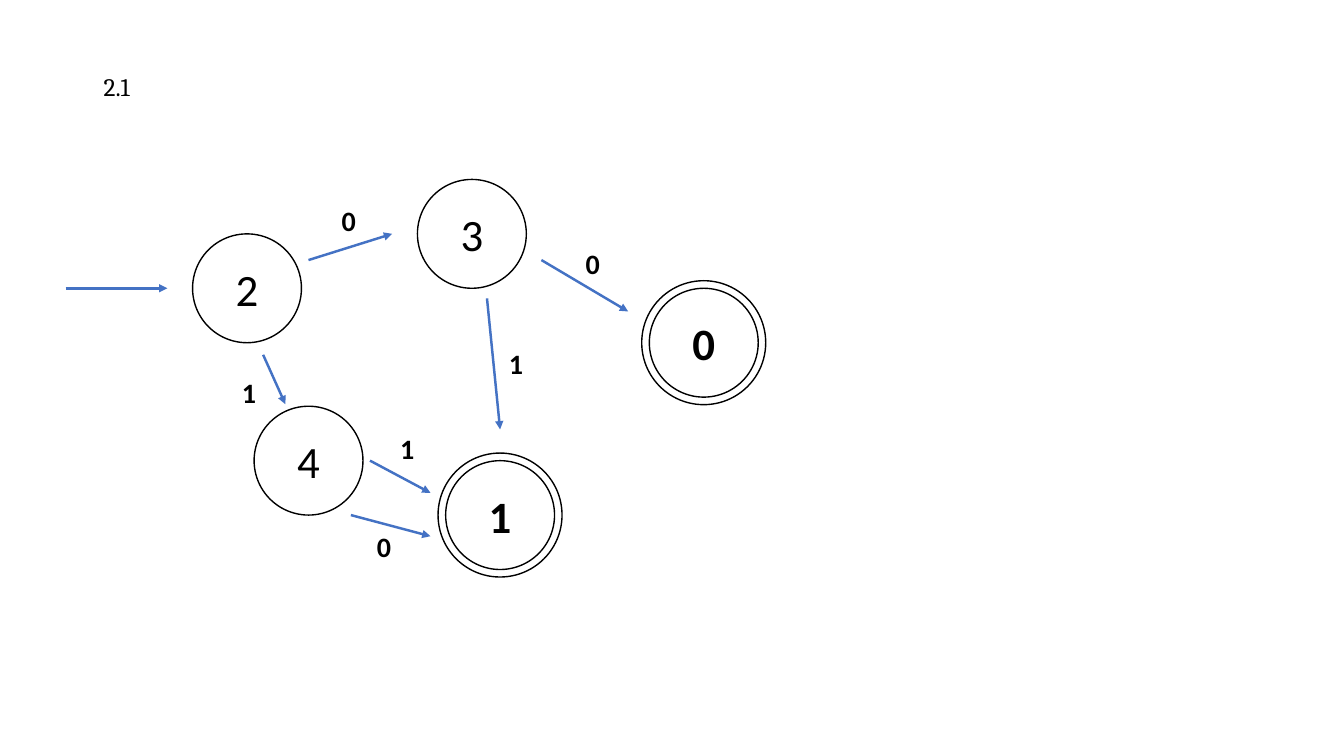
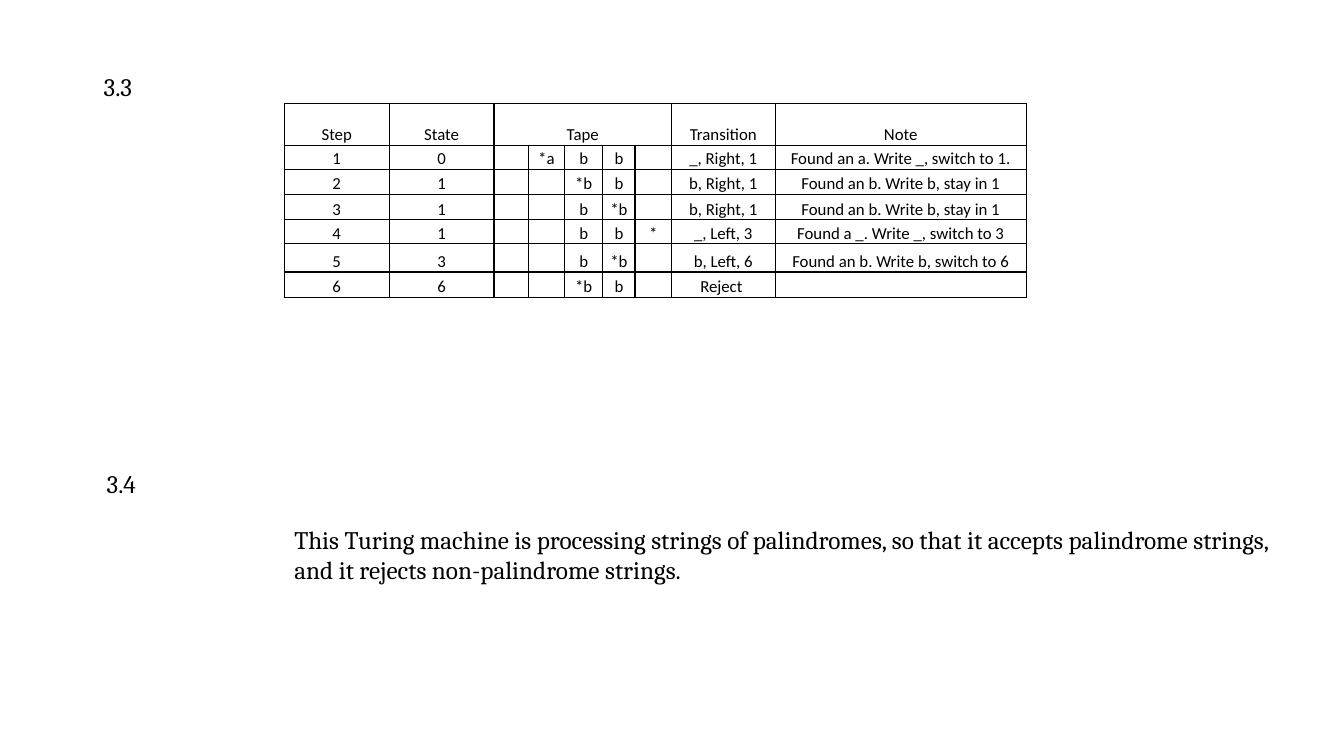
from lxml.etree import SubElement
from pptx import Presentation
from pptx.dml.color import RGBColor
from pptx.enum.shapes import MSO_CONNECTOR, MSO_SHAPE
from pptx.enum.text import MSO_ANCHOR, MSO_AUTO_SIZE, PP_ALIGN
from pptx.oxml import parse_xml
from pptx.oxml.ns import nsdecls, qn
from pptx.util import Inches, Pt

COLORS = {"ink": "000000", "paper": "FFFFFF", "arrow": "4472C4"}
BODY, SERIF = "Calibri", "Cambria"
NODE, RING = 1.08, 1.23

STATES = [
    ("2", 2.45, 2.86, False),
    ("3", 4.68, 2.32, False),
    ("4", 3.06, 4.57, False),
    ("1", 4.96, 5.11, True),
    ("0", 6.98, 3.4, True),
]
TRANSITIONS = [
    ((0.65, 2.86), (1.66, 2.86), None, None),
    ((3.06, 2.58), (3.89, 2.32), "0", (3.29, 1.97)),
    ((5.37, 2.58), (6.23, 3.09), "0", (5.71, 2.4)),
    ((2.61, 3.52), (2.83, 4.01), "1", (2.3, 3.68)),
    ((3.48, 5.11), (4.27, 5.32), "0", (3.64, 5.2)),
    ((4.83, 2.96), (4.96, 4.26), "1", (4.95, 3.39)),
    ((3.67, 4.57), (4.27, 4.89), "1", (3.87, 4.23)),
]

COLUMNS = [1.04, 1.04, 0.34, 0.36, 0.38, 0.32, 0.36, 1.03, 2.49]
ROWS = [0.41, 0.24, 0.25, 0.25, 0.24, 0.28, 0.25]
TRACE = [
    ("Step", "State", "Tape", "", "", "", "", "Transition", "Note"),
    ("1", "0", "", "*a", "b", "b", "", "_, Right, 1", "Found an a. Write _, switch to 1."),
    ("2", "1", "", "", "*b", "b", "", "b, Right, 1", "Found an b. Write b, stay in 1"),
    ("3", "1", "", "", "b", "*b", "", "b, Right, 1", "Found an b. Write b, stay in 1"),
    ("4", "1", "", "", "b", "b", "*", "_, Left, 3", "Found a _. Write _, switch to 3"),
    ("5", "3", "", "", "b", "*b", "", "b, Left, 6", "Found an b. Write b, switch to 6"),
    ("6", "6", "", "", "*b", "b", "", "Reject ", ""),
]
ANSWER = (
    "This Turing machine is processing strings of palindromes, so that it accepts "
    "palindrome strings, and it rejects non-palindrome strings."
)


def color(name):
    return RGBColor.from_string(COLORS[name])


def write(frame, text, font=BODY, size=18, bold=False, align=PP_ALIGN.LEFT):
    para = frame.paragraphs[0]
    para.alignment = align
    if not text:
        SubElement(para._p, qn("a:endParaRPr"), sz=str(size * 100))
        return
    span = para.add_run()
    span.text = text
    span.font.name, span.font.size, span.font.bold = font, Pt(size), bold
    span.font.color.rgb = color("ink")


def add_text(page, text, left, top, width, height, wrap=False, **style):
    box = page.shapes.add_textbox(*map(Inches, (left, top, width, height)))
    box.text_frame.word_wrap = wrap
    box.text_frame.auto_size = MSO_AUTO_SIZE.SHAPE_TO_FIT_TEXT
    write(box.text_frame, text, **style)


def add_heading(page, text, left, top):
    add_text(page, text, left, top, 0.55, 0.4, font=SERIF)


def add_circle(shapes, x, y, size):
    corner = (x - size / 2, y - size / 2)
    circle = shapes.add_shape(MSO_SHAPE.OVAL, *map(Inches, (*corner, size, size)))
    circle.shadow.inherit = False
    circle.fill.solid()
    circle.fill.fore_color.rgb = color("paper")
    circle.line.color.rgb = color("ink")
    circle.line.width = Pt(1)
    return circle


def add_state(page, name, x, y, accepting):
    shapes = page.shapes
    if accepting:
        shapes = page.shapes.add_group_shape().shapes
        add_circle(shapes, x, y, RING)
    frame = add_circle(shapes, x, y, NODE).text_frame
    frame.vertical_anchor = MSO_ANCHOR.MIDDLE
    write(frame, name, size=32, bold=accepting, align=PP_ALIGN.CENTER)


def add_arrow(page, start, end):
    arrow = page.shapes.add_connector(MSO_CONNECTOR.STRAIGHT, *map(Inches, (*start, *end)))
    arrow.line.color.rgb = color("arrow")
    arrow.line.width = Pt(1.75)
    SubElement(arrow.line._get_or_add_ln(), qn("a:tailEnd"), type="triangle")
    SubElement(arrow._element.spPr, qn("a:effectLst"))


def add_borders(cell):
    properties = cell._tc.get_or_add_tcPr()
    for index, side in enumerate("LRTB"):
        properties.insert(index, parse_xml(
            f'<a:ln{side} {nsdecls("a")} w="{Pt(1)}"><a:solidFill>'
            f'<a:srgbClr val="{COLORS["ink"]}"/></a:solidFill></a:ln{side}>'
        ))


def add_trace(page, left, top):
    frame = page.shapes.add_table(
        len(ROWS), len(COLUMNS), *map(Inches, (left, top, sum(COLUMNS), sum(ROWS)))
    )
    table = frame.table
    table.first_row = table.horz_banding = False
    for column, width in zip(table.columns, COLUMNS):
        column.width = Inches(width)
    for row, height, texts in zip(table.rows, ROWS, TRACE):
        row.height = Inches(height)
        for cell, text in zip(row.cells, texts):
            cell.margin_left = cell.margin_right = cell.margin_top = Inches(0.01)
            cell.margin_bottom = 0
            cell.vertical_anchor = MSO_ANCHOR.BOTTOM
            cell.fill.solid()
            cell.fill.fore_color.rgb = color("paper")
            add_borders(cell)
            write(cell.text_frame, text, size=12, align=PP_ALIGN.CENTER)
    table.cell(0, 2).merge(table.cell(0, 6))


def build_automaton(page):
    add_heading(page, "2.1", 0.93, 0.66)
    for state in STATES:
        add_state(page, *state)
    for start, end, symbol, place in TRANSITIONS:
        add_arrow(page, start, end)
        if symbol:
            add_text(page, symbol, *place, 0.34, 0.44, size=20, bold=True)


def build_turing_machine(page):
    add_heading(page, "3.3", 0.93, 0.66)
    add_trace(page, 2.82, 1.03)
    add_heading(page, "3.4", 0.96, 4.6)
    add_text(page, ANSWER, 2.82, 5.15, 9.92, 0.71, wrap=True, font=SERIF)


def main():
    deck = Presentation()
    deck.slide_width, deck.slide_height = Inches(13.33), Inches(7.5)
    for build in (build_automaton, build_turing_machine):
        build(deck.slides.add_slide(deck.slide_layouts[6]))
    deck.save("out.pptx")


if __name__ == "__main__":
    main()
